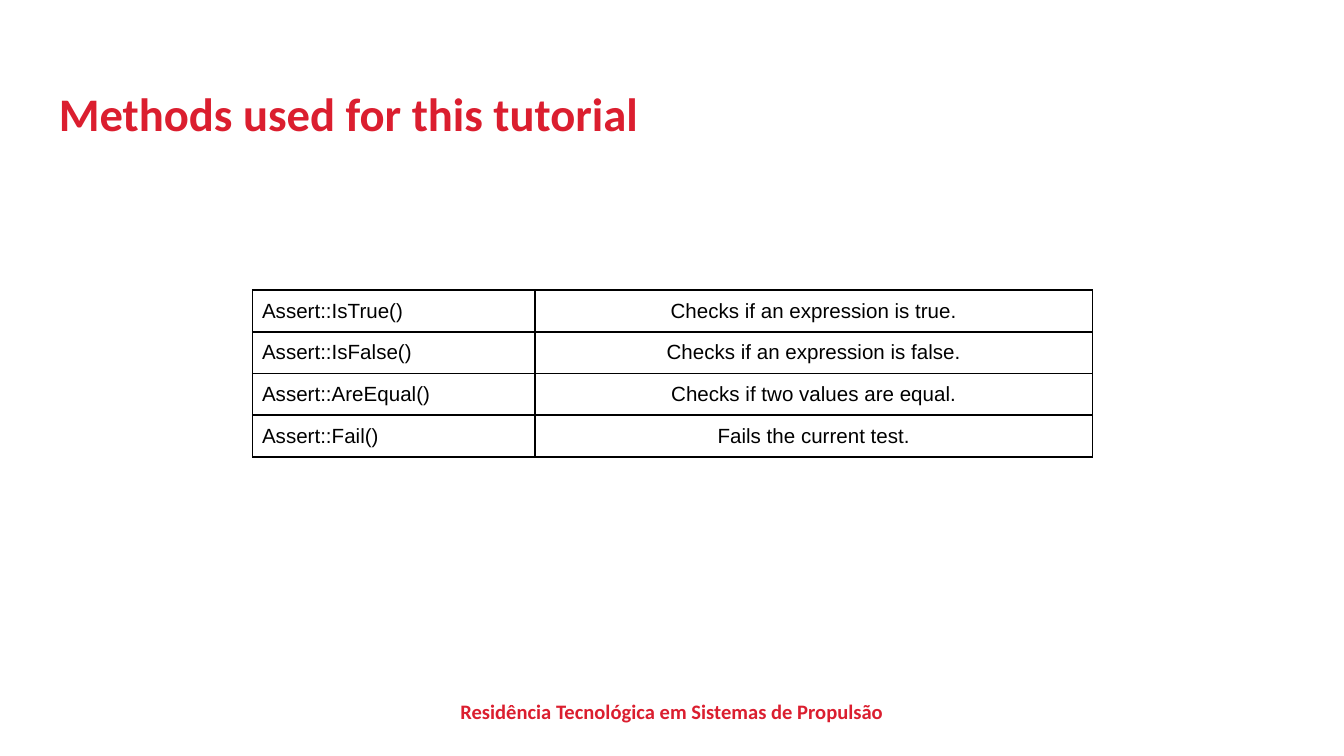
import pptx
import pptx.dml.color
import pptx.enum.text
import pptx.oxml
import pptx.oxml.ns
import pptx.util
from pptx.util import Inches

COLORS = {"background": "FFFFFF", "accent": "DB1E2F", "ink": "000000"}
ALIGN = pptx.enum.text.PP_ALIGN
HEADING_FORMAT = {"name": "Calibri", "bold": True}
CELL_TEXT_FORMAT = {"name": "Arial", "size": pptx.util.Pt(11), "bold": False}
CELL_FORMAT = {
    "margin_left": Inches(0.07),
    "margin_right": Inches(0.07),
    "margin_top": Inches(0.06),
    "margin_bottom": Inches(0.06),
    "vertical_anchor": pptx.enum.text.MSO_ANCHOR.MIDDLE,
}
METHODS = [
    ("Assert::IsTrue()", "Checks if an expression is true."),
    ("Assert::IsFalse()", "Checks if an expression is false."),
    ("Assert::AreEqual()", "Checks if two values are equal."),
    ("Assert::Fail()", "Fails the current test."),
]
COLUMN_WIDTHS = (2.1, 4.15)
COLUMN_ALIGNMENTS = (ALIGN.LEFT, ALIGN.CENTER)
ROW_HEIGHT = 0.31


def rgb(color):
    return pptx.dml.color.RGBColor.from_string(COLORS[color])


def set_attributes(target, values):
    for name, value in values.items():
        setattr(target, name, value)


def write_text(text_frame, text, color, alignment, font_format):
    paragraph = text_frame.paragraphs[0]
    paragraph.alignment = alignment
    run = paragraph.add_run()
    run.text = text
    set_attributes(run.font, font_format)
    run.font.color.rgb = rgb(color)


def add_heading(slide, box, text, size, alignment, vertical_margin):
    shape = slide.shapes.add_textbox(*map(Inches, box))
    set_attributes(shape.text_frame, {
        "word_wrap": True,
        "margin_left": Inches(0.1),
        "margin_right": Inches(0.1),
        "margin_top": Inches(vertical_margin),
        "margin_bottom": Inches(vertical_margin),
    })
    font_format = {**HEADING_FORMAT, "size": pptx.util.Pt(size)}
    write_text(shape.text_frame, text, "accent", alignment, font_format)


def add_cell_borders(cell):
    """Draw a one-point line on all four sides, ahead of the cell's fill."""
    properties = cell._tc.get_or_add_tcPr()
    for index, side in enumerate(("lnL", "lnR", "lnT", "lnB")):
        border = pptx.oxml.parse_xml(
            f'<a:{side} {pptx.oxml.ns.nsdecls("a")} w="{pptx.util.Pt(1)}">'
            f'<a:solidFill><a:srgbClr val="{COLORS["ink"]}"/></a:solidFill>'
            f'</a:{side}>')
        properties.insert(index, border)


def add_method_table(slide, left, top):
    frame = slide.shapes.add_table(
        len(METHODS), len(COLUMN_WIDTHS), Inches(left), Inches(top),
        Inches(sum(COLUMN_WIDTHS)), Inches(ROW_HEIGHT * len(METHODS)))
    table = frame.table
    set_attributes(table, {"first_row": False, "horz_banding": False})
    for column, width in zip(table.columns, COLUMN_WIDTHS):
        column.width = Inches(width)
    for row, texts in zip(table.rows, METHODS):
        row.height = Inches(ROW_HEIGHT)
        for cell, text, alignment in zip(row.cells, texts, COLUMN_ALIGNMENTS):
            set_attributes(cell, CELL_FORMAT)
            cell.fill.background()
            add_cell_borders(cell)
            write_text(cell.text_frame, text, "ink", alignment,
                       CELL_TEXT_FORMAT)


def main():
    presentation = pptx.Presentation()
    presentation.slide_width = Inches(10)
    presentation.slide_height = Inches(10 * 9 / 16)
    slide = presentation.slides.add_slide(presentation.slide_layouts[6])
    slide.background.fill.solid()
    slide.background.fill.fore_color.rgb = rgb("background")

    add_heading(slide, (3.1, 5.15, 3.8, 0.29),
                "Residência Tecnológica em Sistemas de Propulsão",
                11, ALIGN.CENTER, 0.05)
    add_heading(slide, (0.34, 0.53, 9.32, 0.63),
                "Methods used for this tutorial", 25, ALIGN.LEFT, 0.1)
    add_method_table(slide, 1.88, 2.16)
    presentation.save("out.pptx")


if __name__ == "__main__":
    main()
